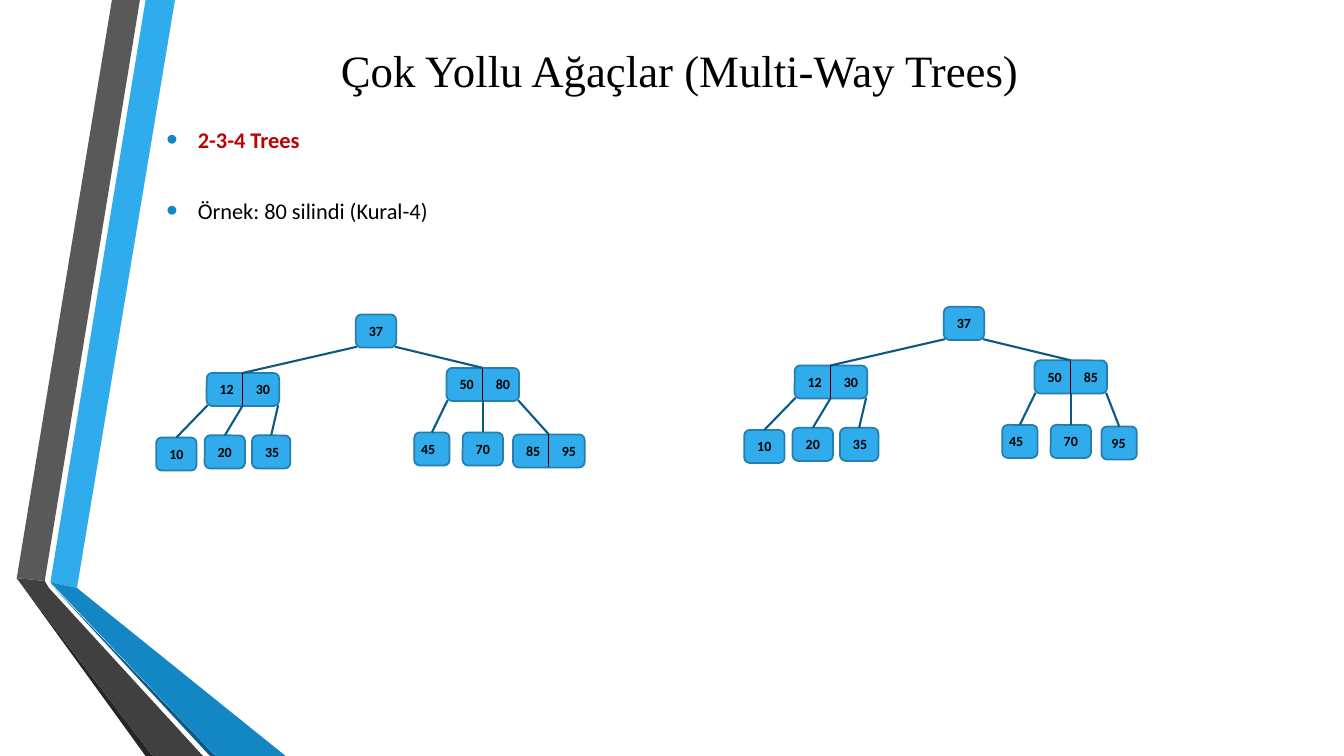
from lxml.etree import SubElement
from pptx import Presentation
from pptx.dml.color import RGBColor
from pptx.enum.shapes import MSO_CONNECTOR as CONN, MSO_SHAPE as SHAPE
from pptx.enum.text import MSO_ANCHOR as ANCHOR, MSO_AUTO_SIZE as AUTO, PP_ALIGN as ALIGN
from pptx.oxml.ns import qn
from pptx.util import Pt

NODE_H = 23.6
INSET = 2.2

RIBBONS = [
    ("30ACEC", [(36, 416.2), (55.4, 419.8), (124.6, 0), (104.4, 0)]),
    ("595959", [(100, 0), (80, 0), (11.5, 412.6), (31.7, 415.4)]),
    ("262626", [(11.5, 412.6), (104.4, 540), (108.7, 540)]),
    ("0C5A82", [(36, 416.9), (149.8, 540), (154.1, 540)]),
    ("1287C3", [(36, 416.5), (154.1, 540), (203.8, 540), (55.4, 419.8)]),
    ("404040", [(145.4, 540), (34.6, 419.8), (31.7, 415.4), (11.5, 412.6), (108.7, 540)]),
]

# Each node: left, top, width, keys, left offset of the first key's label
LEFT_BRANCH = {
    "root": (254.2, 224.6, 28.8, ["37"], INSET),
    "low": (147.6, 266.4, 51.8, ["12", "30"], INSET),
    "10": (111.6, 312.5, 28.8, ["10"], INSET),
    "20": (146.2, 311, 28.8, ["20"], INSET),
    "35": (180, 311, 27.4, ["35"], INSET),
    "45": (295.9, 308.9, 25.2, ["45"], -INSET),
    "70": (330.5, 308.9, 28.8, ["70"], INSET),
}
BEFORE = LEFT_BRANCH | {
    "high": (319, 262.8, 51.8, ["50", "80"], INSET),
    "last": (366.5, 310.3, 51.1, ["85", "95"], INSET),
}
AFTER = LEFT_BRANCH | {
    "high": (319, 262.8, 51.8, ["50", "85"], INSET),
    "last": (366.8, 310, 25.2, ["95"], 0),
}
CHILDREN = {
    "root": ["low", "high"],
    "low": ["10", "20", "35"],
    "high": ["45", "70", "last"],
}


def color(value):
    return RGBColor.from_string(value)


def add_run(p, text, font, size, fill, bold=False):
    r = p.add_run()
    r.text = text
    r.font.name, r.font.size, r.font.bold = font, Pt(size), bold
    r.font.color.rgb = color(fill)


def add_ribbon(shapes, fill, points):
    builder = shapes.build_freeform(*points[0], scale=Pt(1))
    builder.add_line_segments(points[1:], close=True)
    sp = builder.convert_to_shape()
    sp.shadow.inherit = False
    sp.fill.solid()
    sp.fill.fore_color.rgb = color(fill)
    sp.line.fill.background()


def add_line(shapes, x1, y1, x2, y2, stroke, width):
    line = shapes.add_connector(CONN.STRAIGHT, Pt(x1), Pt(y1), Pt(x2), Pt(y2))
    line.line.color.rgb = color(stroke)
    line.line.width = Pt(width)
    SubElement(line.element.spPr, qn("a:effectLst"))


def add_key(shapes, x, y, key):
    sp = shapes.add_textbox(Pt(x), Pt(y), Pt(26), Pt(19.4))
    tf = sp.text_frame
    tf.word_wrap = True
    tf.auto_size = AUTO.SHAPE_TO_FIT_TEXT
    add_run(tf.paragraphs[0], key, "Calibri", 10, "000000", True)


def add_node(shapes, x, y, w, keys, offset):
    sp = shapes.add_shape(SHAPE.ROUNDED_RECTANGLE, Pt(x), Pt(y), Pt(w), Pt(NODE_H))
    sp.shadow.inherit = False
    sp.fill.solid()
    sp.fill.fore_color.rgb = color("30ACEC")
    sp.line.color.rgb = color("247FAF")
    sp.line.width = Pt(1.25)
    if len(keys) == 2:
        add_line(shapes, x + w / 2, y, x + w / 2, y + NODE_H, "000000", 0.75)
    for i, key in enumerate(keys):
        add_key(shapes, x + offset + i * w / 2, y + INSET, key)


def add_tree(s, nodes, dx, dy):
    """Draw the nodes, then link each parent's lower edge to its children."""
    shapes = s.shapes.add_group_shape().shapes
    placed = {name: (x + dx, y + dy, *rest) for name, (x, y, *rest) in nodes.items()}
    for node in placed.values():
        add_node(shapes, *node)
    for parent, children in CHILDREN.items():
        x, y, w = placed[parent][:3]
        for i, child in enumerate(children):
            cx, cy, cw = placed[child][:3]
            start = x + 0.7 + i * (w - 1.4) / (len(children) - 1)
            add_line(shapes, start, y + NODE_H - 0.5, cx + cw / 2, cy, "0C5A82", 1.5)


def place(sp, x, y, w, h, anchor):
    sp.left, sp.top, sp.width, sp.height = Pt(x), Pt(y), Pt(w), Pt(h)
    tf = sp.text_frame
    tf.word_wrap = True
    tf.auto_size = AUTO.NONE
    tf.vertical_anchor = anchor
    return tf


def add_bullet(p, text, fill, bold, before, spacing):
    p.space_before, p.space_after = Pt(before), Pt(0)
    p.line_spacing = spacing
    p.alignment = ALIGN.LEFT
    pPr = p._p.get_or_add_pPr()
    pPr.set("marL", str(Pt(22.5)))
    pPr.set("indent", str(-Pt(22.5)))
    SubElement(SubElement(pPr, qn("a:buClr")), qn("a:srgbClr"), val="1287C3")
    SubElement(pPr, qn("a:buSzPct"), val="145000")
    SubElement(pPr, qn("a:buFont"), typeface="Arial")
    SubElement(pPr, qn("a:buChar"), char="•")
    add_run(p, text, "Calibri", 16, fill, bold)


def main():
    prs = Presentation()
    prs.slide_width, prs.slide_height = Pt(960), Pt(540)
    s = prs.slides.add_slide(prs.slide_layouts[1])
    title, body = s.placeholders

    ribbons = s.shapes.add_group_shape()
    for fill, points in RIBBONS:
        add_ribbon(ribbons.shapes, fill, points)
    for sp in (title, body):
        s.shapes.element.append(sp.element)

    tf = place(title, 111.6, 12.2, 748, 75, ANCHOR.MIDDLE)
    p = tf.paragraphs[0]
    p.alignment = ALIGN.CENTER
    add_run(p, "Çok Yollu Ağaçlar (Multi-Way Trees)", "Times New Roman", 32, "000000")

    tf = place(body, 111.6, 77, 748, 138, ANCHOR.TOP)
    add_bullet(tf.paragraphs[0], "2-3-4 Trees", "C00000", True, 0, 1.5)
    add_bullet(tf.add_paragraph(), "Örnek: 80 silindi (Kural-4)", "000000", False, 31.5, 1.0)

    add_tree(s, BEFORE, 0, 0)
    add_tree(s, AFTER, 420, -5.4)
    prs.save("out.pptx")


if __name__ == "__main__":
    main()
